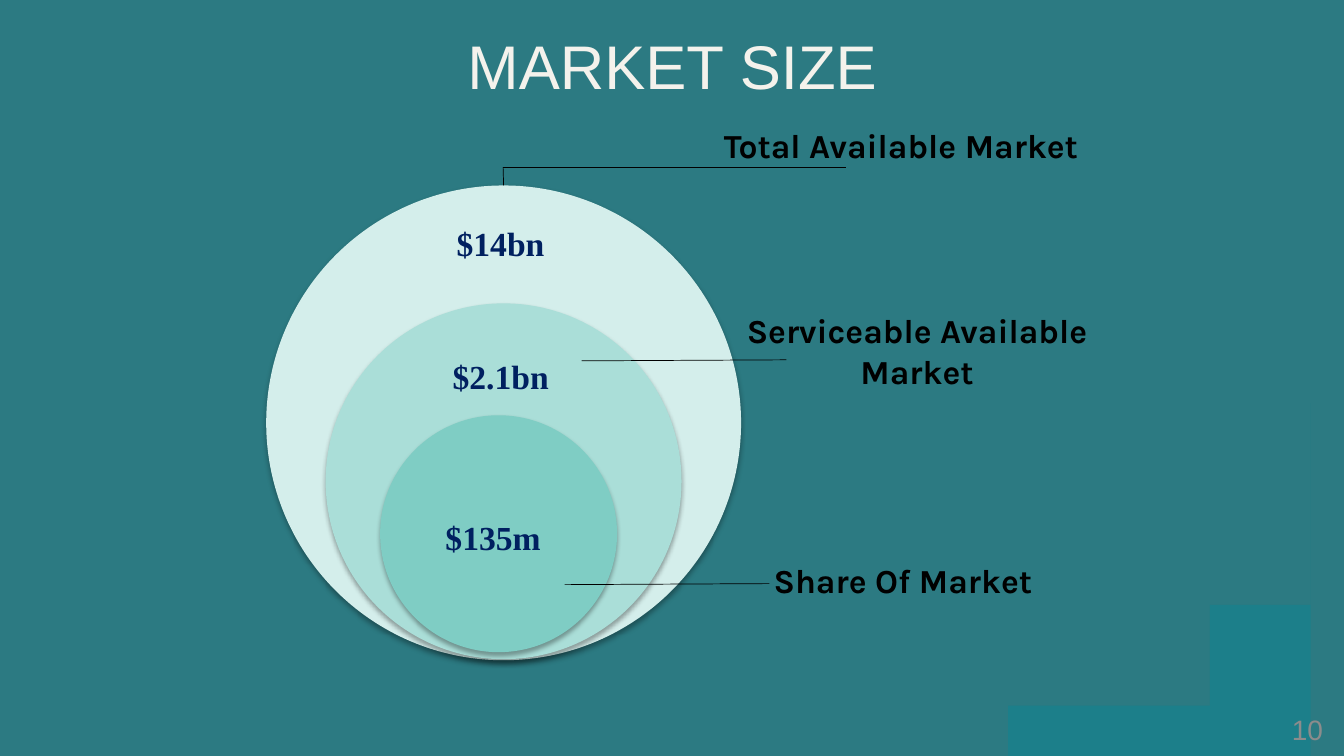
from lxml.etree import SubElement
from pptx import Presentation
from pptx.dml.color import RGBColor
from pptx.enum.shapes import MSO_CONNECTOR, MSO_SHAPE
from pptx.enum.text import MSO_ANCHOR, MSO_AUTO_SIZE, PP_ALIGN
from pptx.oxml import parse_xml
from pptx.oxml.ns import nsdecls, qn
from pptx.util import Inches, Pt

TITLE = "MARKET SIZE"
PAGE_NUMBER = "10"
BACKGROUND, CORNER = "2C7A82", "18818C"
NAVY, BLACK = "002060", "000000"

# left, top, diameter, fill
CIRCLES = [
    (2.64, 1.84, 4.71, "D4EEEB"),
    (3.23, 3.01, 3.53, "AADED8"),
    (3.77, 4.12, 2.35, "7FCDC4"),
]
# text, (left, top, width, height), wrap
VALUES = [
    ("$135m", (4.32, 5.08, 1.16, 0.5), False),
    ("$14bn", (4.43, 2.16, 1.08, 0.5), False),
    ("$2.1bn", (4.39, 3.48, 1.81, 0.5), True),
]
# text, (left, top, width, height), wrap, alignment
LABELS = [
    ("Total Available Market", (7.08, 1.19, 3.99, 0.5), False, PP_ALIGN.LEFT),
    ("Serviceable Available Market", (7.02, 3.03, 4.15, 0.91), True, PP_ALIGN.CENTER),
    ("Share Of Market", (7.48, 5.51, 2.95, 0.5), False, PP_ALIGN.CENTER),
]
# start x, start y, end x, end y
LEADERS = [
    (4.99, 1.66, 8.39, 1.66),
    (5.77, 3.58, 7.8, 3.57),
    (5.6, 5.8, 7.63, 5.79),
]
TOTAL_STEM = (4.99, 1.66, 4.99, 1.84)
CORNER_CURVE = [(9.67, 7.5), (11.57, 7.5), (13.14, 6.02), (13.33, 4.13)]
CURVE_STEPS = 60


def color(hex_code):
    return RGBColor.from_string(hex_code)


def fill_shape(shape, hex_code):
    shape.fill.solid()
    shape.fill.fore_color.rgb = color(hex_code)
    shape.line.fill.background()
    shape.shadow.inherit = False


def curve_point(t):
    """Point at t on the cubic Bezier CORNER_CURVE."""
    weights = ((1 - t) ** 3, 3 * t * (1 - t) ** 2, 3 * t ** 2 * (1 - t), t ** 3)
    return tuple(sum(w * p[axis] for w, p in zip(weights, CORNER_CURVE))
                 for axis in (0, 1))


def add_corner(slide):
    points = [curve_point(step / CURVE_STEPS) for step in range(CURVE_STEPS + 1)]
    points.append((13.33, 7.5))
    builder = slide.shapes.build_freeform(*points[0], scale=Inches(1))
    builder.add_line_segments(points[1:], close=True)
    corner = builder.convert_to_shape()
    fill_shape(corner, CORNER)
    fill_color = corner.fill._xPr.find(qn("a:solidFill"))[0]
    SubElement(fill_color, qn("a:alpha"), val="80000")


def add_circle(slide, left, top, diameter, hex_code):
    circle = slide.shapes.add_shape(
        MSO_SHAPE.OVAL, *map(Inches, (left, top, diameter, diameter)))
    fill_shape(circle, hex_code)
    effects = circle._element.spPr.find(qn("a:effectLst"))
    effects.append(parse_xml(
        f'<a:outerShdw {nsdecls("a")} blurRad="{Pt(3.5)}" dist="{Pt(2.2)}" '
        'dir="5400000" rotWithShape="0"><a:srgbClr val="000000">'
        '<a:alpha val="32000"/></a:srgbClr></a:outerShdw>'))
    return circle


def format_text(shape, text, size, font_name, hex_code, alignment, bold=False):
    shape.text_frame.text = text
    paragraph = shape.text_frame.paragraphs[0]
    paragraph.alignment = alignment
    font = paragraph.runs[0].font
    font.size, font.name, font.bold = Pt(size), font_name, bold
    font.color.rgb = color(hex_code)
    return paragraph


def add_text(slide, text, box, wrap, font_name, hex_code, alignment=PP_ALIGN.LEFT):
    shape = slide.shapes.add_textbox(*map(Inches, box))
    shape.text_frame.word_wrap = wrap
    shape.text_frame.auto_size = MSO_AUTO_SIZE.SHAPE_TO_FIT_TEXT
    format_text(shape, text, 24, font_name, hex_code, alignment, bold=True)


def add_leader(slide, ends):
    leader = slide.shapes.add_connector(MSO_CONNECTOR.STRAIGHT, *map(Inches, ends))
    leader.line.color.rgb = color(BLACK)
    leader.line.width = Pt(0.5)
    SubElement(leader._element.spPr, qn("a:effectLst"))
    return leader


def main():
    presentation = Presentation()
    presentation.slide_width, presentation.slide_height = Inches(13.33), Inches(7.5)
    slide = presentation.slides.add_slide(presentation.slide_layouts[5])
    slide.background.fill.solid()
    slide.background.fill.fore_color.rgb = color(BACKGROUND)

    title = slide.shapes.title
    title.left, title.top, title.width, title.height = map(Inches, (1.67, 0.3, 10, 0.78))
    title.text_frame.vertical_anchor = MSO_ANCHOR.MIDDLE
    heading = format_text(title, TITLE, 44, "Arial", "F4F2EC", PP_ALIGN.CENTER)
    heading.line_spacing = 0.9

    add_corner(slide)
    circles = [add_circle(slide, *circle) for circle in CIRCLES]
    for text, box, wrap in VALUES:
        add_text(slide, text, box, wrap, "Times New Roman", NAVY)
    for text, box, wrap, alignment in LABELS:
        add_text(slide, text, box, wrap, "Karla", BLACK, alignment)
    for ends in LEADERS:
        add_leader(slide, ends)
    add_leader(slide, TOTAL_STEM).end_connect(circles[0], 0)

    number = slide.shapes.add_textbox(*map(Inches, (12.46, 7.04, 0.76, 0.4)))
    number.text_frame.word_wrap = True
    number.text_frame.vertical_anchor = MSO_ANCHOR.MIDDLE
    format_text(number, PAGE_NUMBER, 20, "Arial", "8C8C8C", PP_ALIGN.RIGHT)

    presentation.save("out.pptx")


if __name__ == "__main__":
    main()
